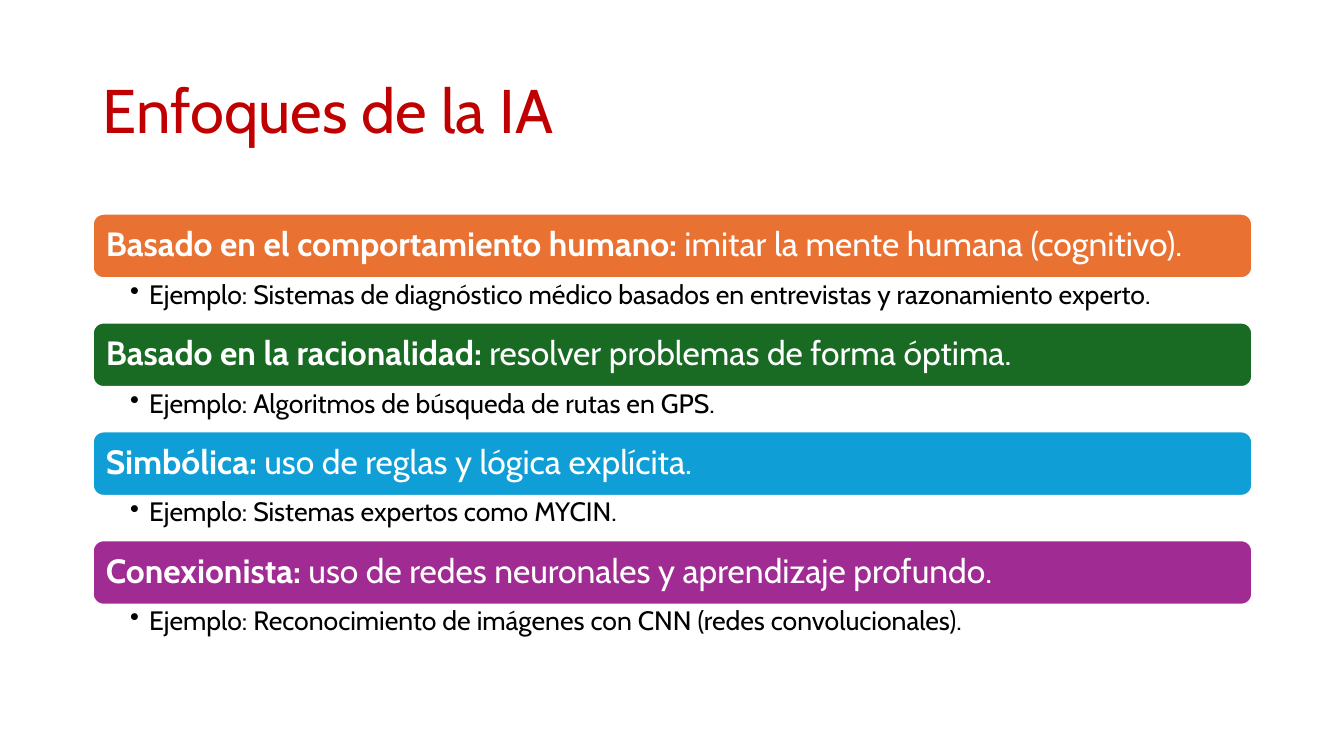
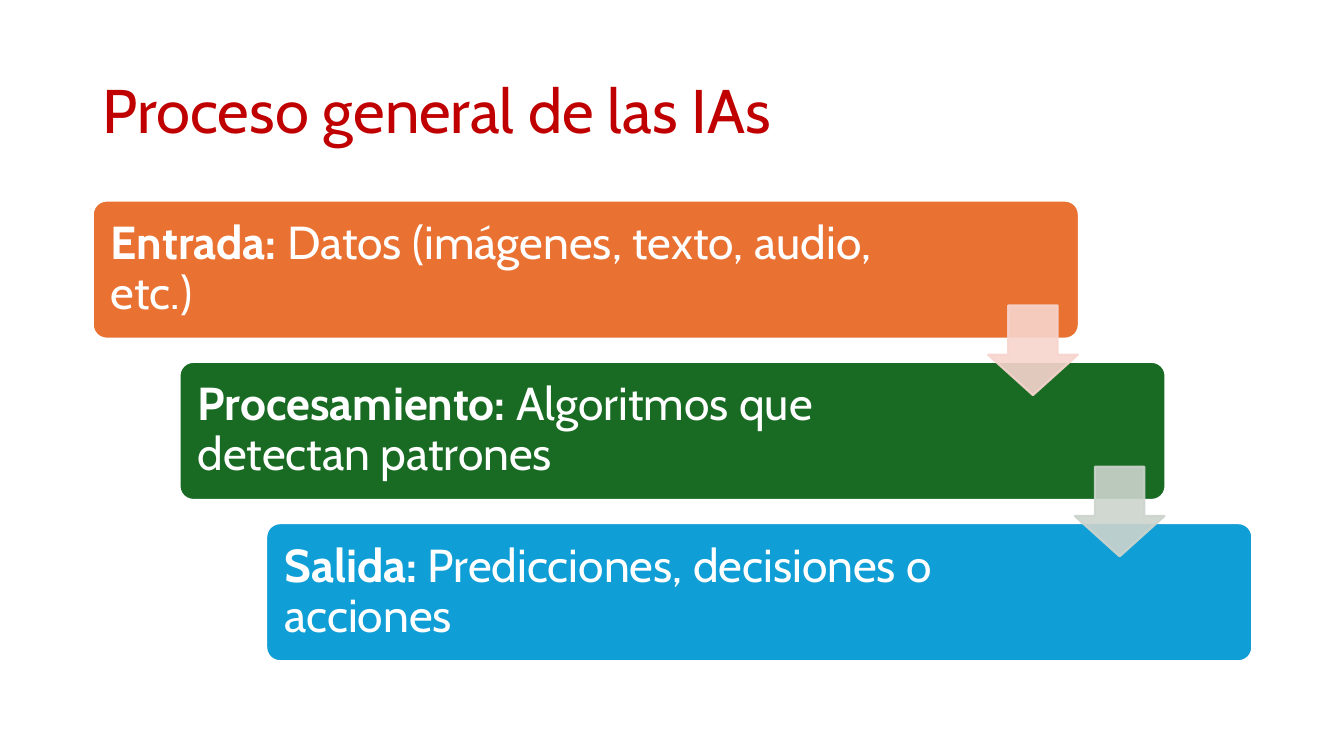
"""Builds two slides on the approaches and the general process of AI."""
from lxml import etree
from pptx import Presentation
from pptx.dml.color import RGBColor
from pptx.enum import shapes, text
from pptx.oxml.ns import qn
from pptx.util import Inches, Pt

FONT = "Cabin"
RED, WHITE, BLACK = "C00000", "FFFFFF", "000000"
ACCENTS = ["E97132", "196B24", "0F9ED5", "A02B93"]
LEFT, WIDTH = 0.92, 11.5

APPROACHES_TITLE = "Enfoques de la IA"
APPROACHES = [
    ("Basado en el comportamiento humano:", " imitar la mente humana (cognitivo).",
     "Ejemplo: Sistemas de diagnóstico médico basados en entrevistas y razonamiento experto."),
    ("Basado en la racionalidad:", " resolver problemas de forma óptima.",
     "Ejemplo: Algoritmos de búsqueda de rutas en GPS."),
    ("Simbólica:", " uso de reglas y lógica explícita.",
     "Ejemplo: Sistemas expertos como MYCIN."),
    ("Conexionista:", " uso de redes neuronales y aprendizaje profundo.",
     "Ejemplo: Reconocimiento de imágenes con CNN (redes convolucionales)."),
]
PROCESS_TITLE = "Proceso general de las IAs"
STAGES = [
    ("Entrada:", " Datos (imágenes, texto, audio, etc.)", 1.54),
    ("Procesamiento:", " Algoritmos que detectan patrones", 1.9),
    ("Salida:", " Predicciones, decisiones o acciones", 1.9),
]
ARROW_COLOURS = ["F7D5CE", "CCD4CD"]


def rgb(colour):
    return RGBColor.from_string(colour)


def box(left, top, width, height):
    return [Inches(value) for value in (left, top, width, height)]


def write(frame, *runs, size, colour, insets=(0.1, 0.05, 0.1, 0.05),
          anchor=text.MSO_ANCHOR.MIDDLE, bold_first=False, bullet_indent=0):
    frame.word_wrap = True
    frame.auto_size = text.MSO_AUTO_SIZE.NONE
    frame.vertical_anchor = anchor
    (frame.margin_left, frame.margin_top,
     frame.margin_right, frame.margin_bottom) = box(*insets)
    paragraph = frame.paragraphs[0]
    if bullet_indent:
        properties = paragraph._p.get_or_add_pPr()
        properties.set("marL", str(Inches(bullet_indent)))
        properties.set("indent", str(-Inches(bullet_indent)))
        etree.SubElement(properties, qn("a:buChar"), char="•")
    paragraph.alignment = text.PP_ALIGN.LEFT
    paragraph.line_spacing = 0.9
    for index, words in enumerate(runs):
        run = paragraph.add_run()
        run.text = words
        run.font.name = FONT
        run.font.size = Pt(size)
        run.font.bold = bold_first and index == 0
        run.font.color.rgb = rgb(colour)


def add_shape(slide, kind, place, fill, line, adjustments=(), opacity=None):
    shape = slide.shapes.add_shape(kind, *box(*place))
    shape.shadow.inherit = False
    shape.fill.solid()
    shape.fill.fore_color.rgb = rgb(fill)
    shape.line.color.rgb = rgb(line)
    shape.line.width = Pt(1.5)
    for index, value in enumerate(adjustments):
        shape.adjustments[index] = value
    if opacity:
        for colour in shape._element.spPr.iter(qn("a:srgbClr")):
            etree.SubElement(colour, qn("a:alpha"), val=str(opacity * 1000))
    return shape


def add_bar(slide, place, fill, label, detail, size, insets, adjustments=()):
    bar = add_shape(slide, shapes.MSO_SHAPE.ROUNDED_RECTANGLE, place, fill, WHITE,
                    adjustments)
    write(bar.text_frame, label, detail, size=size, colour=WHITE, insets=insets,
          bold_first=True)


def add_titled_slide(deck, heading):
    slide = deck.slides.add_slide(deck.slide_layouts[5])
    title = slide.shapes.title
    title.left, title.top, title.width, title.height = box(LEFT, 0.4, WIDTH, 1.45)
    write(title.text_frame, heading, size=44, colour=RED)
    return slide


def add_approaches(deck):
    slide = add_titled_slide(deck, APPROACHES_TITLE)
    bar_height, pitch = 0.64, 1.08
    for row, (label, detail, example) in enumerate(APPROACHES):
        top = 2.12 + row * pitch
        add_bar(slide, (LEFT, top, WIDTH, bar_height), ACCENTS[row], label, detail,
                24, (0.1, 0.1, 0.1, 0.1))
        example_box = slide.shapes.add_textbox(
            *box(LEFT, top + bar_height, WIDTH, pitch - bar_height))
        write(example_box.text_frame, example, size=19, colour=BLACK,
              insets=(0.37, 0.03, 0.19, 0.03), anchor=text.MSO_ANCHOR.TOP,
              bullet_indent=0.19)


def add_process(deck):
    slide = add_titled_slide(deck, PROCESS_TITLE)
    step_x, step_y = 0.86, 1.6
    for step, (label, detail, right_inset) in enumerate(STAGES):
        place = (LEFT + step * step_x, 1.99 + step * step_y, 9.78, 1.37)
        add_bar(slide, place, ACCENTS[step], label, detail, 33,
                (0.14, 0.14, right_inset, 0.14), [0.1])
    for step, colour in enumerate(ARROW_COLOURS):
        place = (9.8 + step * step_x, 3.03 + step * step_y, 0.89, 0.89)
        add_shape(slide, shapes.MSO_SHAPE.DOWN_ARROW, place, colour, colour,
                  [0.55, 0.45], opacity=90)


def main():
    deck = Presentation()
    deck.slide_width, deck.slide_height = Inches(13.33), Inches(7.5)
    add_approaches(deck)
    add_process(deck)
    deck.save("out.pptx")


if __name__ == "__main__":
    main()
